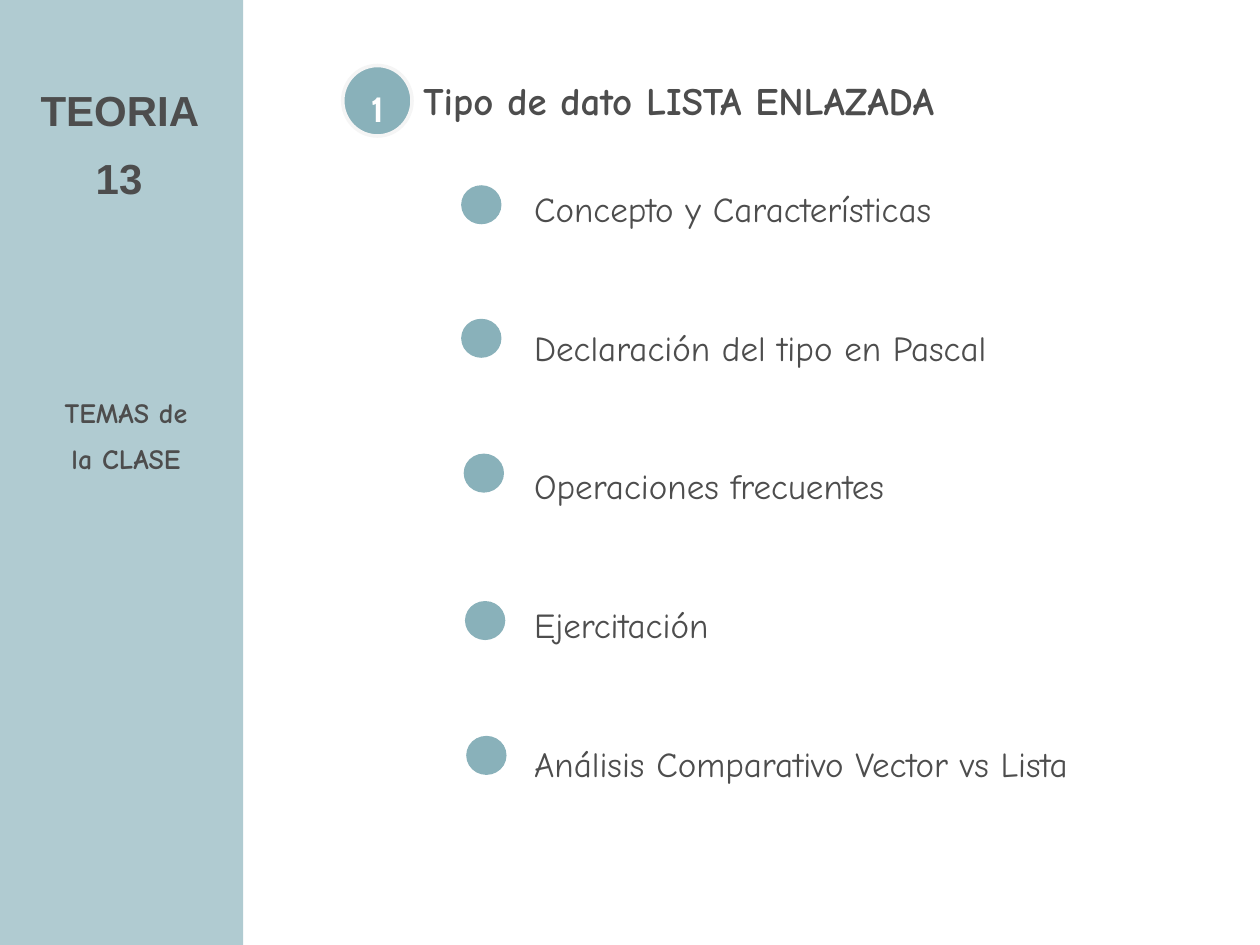
from pptx import Presentation
from pptx.dml.color import RGBColor
from pptx.enum.shapes import MSO_SHAPE
from pptx.enum.text import MSO_ANCHOR, PP_ALIGN
from pptx.util import Inches, Pt

HUES = {"band": "B0CBD1", "dot": "89B1BA", "ring": "F5F5F5", "ink": "4D4D4D", "white": "FFFFFF"}


def draw(kind, hue, *box):
    shape = slide.shapes.add_shape(kind, *map(Inches, box))
    shape.shadow.inherit = False
    shape.fill.solid()
    shape.fill.fore_color.rgb = RGBColor.from_string(HUES[hue])
    shape.line.fill.background()
    return shape


def write(shape, lines, face, size, bold=False, hue="ink", align=PP_ALIGN.CENTER, pitch=1.35, gap=0):
    frame = shape.text_frame
    frame.word_wrap = True
    frame.text = "\n".join(lines)
    for para in frame.paragraphs:
        para.alignment = align
        para.line_spacing = pitch
        para.space_before = Pt(0)
        para.space_after = Pt(gap)
        para.font.name = face
        para.font.size = Pt(size)
        para.font.bold = bold
        para.font.color.rgb = RGBColor.from_string(HUES[hue])
    return frame


deck = Presentation()
deck.slide_width, deck.slide_height = Inches(10), Inches(7.5)
slide = deck.slides.add_slide(deck.slide_layouts[5])

title = slide.shapes.title
title.left, title.top = Inches(3.26), Inches(0.48)
title.width, title.height = Inches(6.34), Inches(0.62)
frame = write(title, ["Tipo de dato LISTA ENLAZADA"], "Comic Neue", 22.2, True, align=PP_ALIGN.LEFT, pitch=1)
frame.vertical_anchor = MSO_ANCHOR.MIDDLE

draw(MSO_SHAPE.RECTANGLE, "band", 0, 0, 1.93, 7.5)

badge = draw(MSO_SHAPE.OVAL, "dot", 2.72, 0.52, 0.55, 0.56)
badge.line.color.rgb = RGBColor.from_string(HUES["ring"])
badge.line.width = Pt(2)
write(badge, ["1"], "Cabin", 20, True, "white").vertical_anchor = MSO_ANCHOR.MIDDLE

for label, face, size, box in [
    ("TEMAS de la CLASE", "Comic Neue", 16, (0.39, 3, 1.22, 0.82)),
    ("TEORIA 13", "Arial", 24, (0.04, 0.48, 1.81, 1.18)),
]:
    write(slide.shapes.add_textbox(*map(Inches, box)), [label], face, size, True)

topics = [
    "Concepto y Características",
    "Declaración del tipo en Pascal",
    "Operaciones frecuentes",
    "Ejercitación",
    "Análisis Comparativo Vector vs Lista",
]
body = slide.shapes.add_textbox(Inches(4.14), Inches(1.39), Inches(5.62), Inches(4.89))
write(body, topics, "Comic Neue", 20, align=PP_ALIGN.JUSTIFY, pitch=1.15, gap=51.6)

for left, top in [(3.66, 1.47), (3.66, 2.53), (3.68, 3.6), (3.69, 4.77), (3.7, 5.84)]:
    draw(MSO_SHAPE.OVAL, "dot", left, top, 0.32, 0.31)

deck.save("out.pptx")
